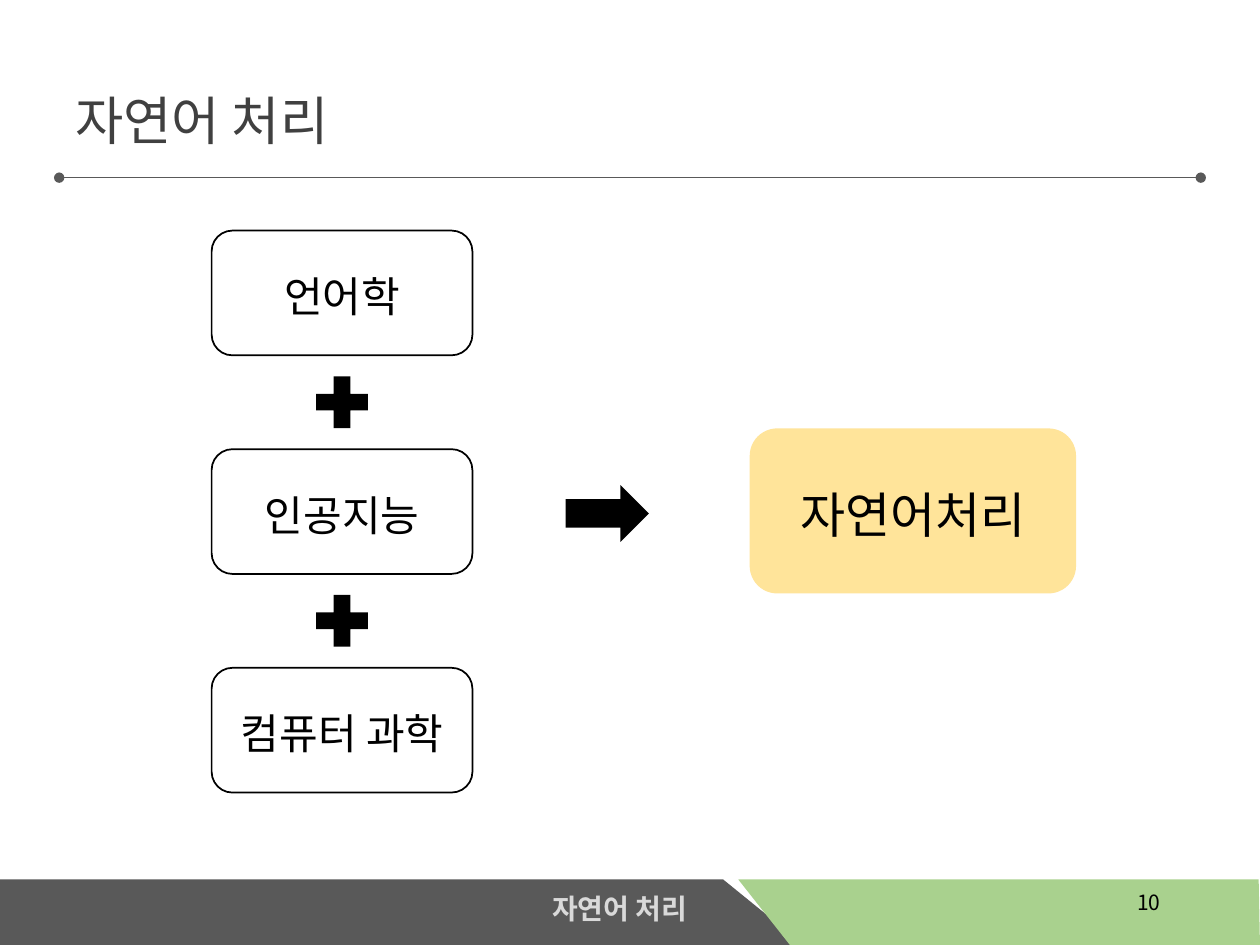
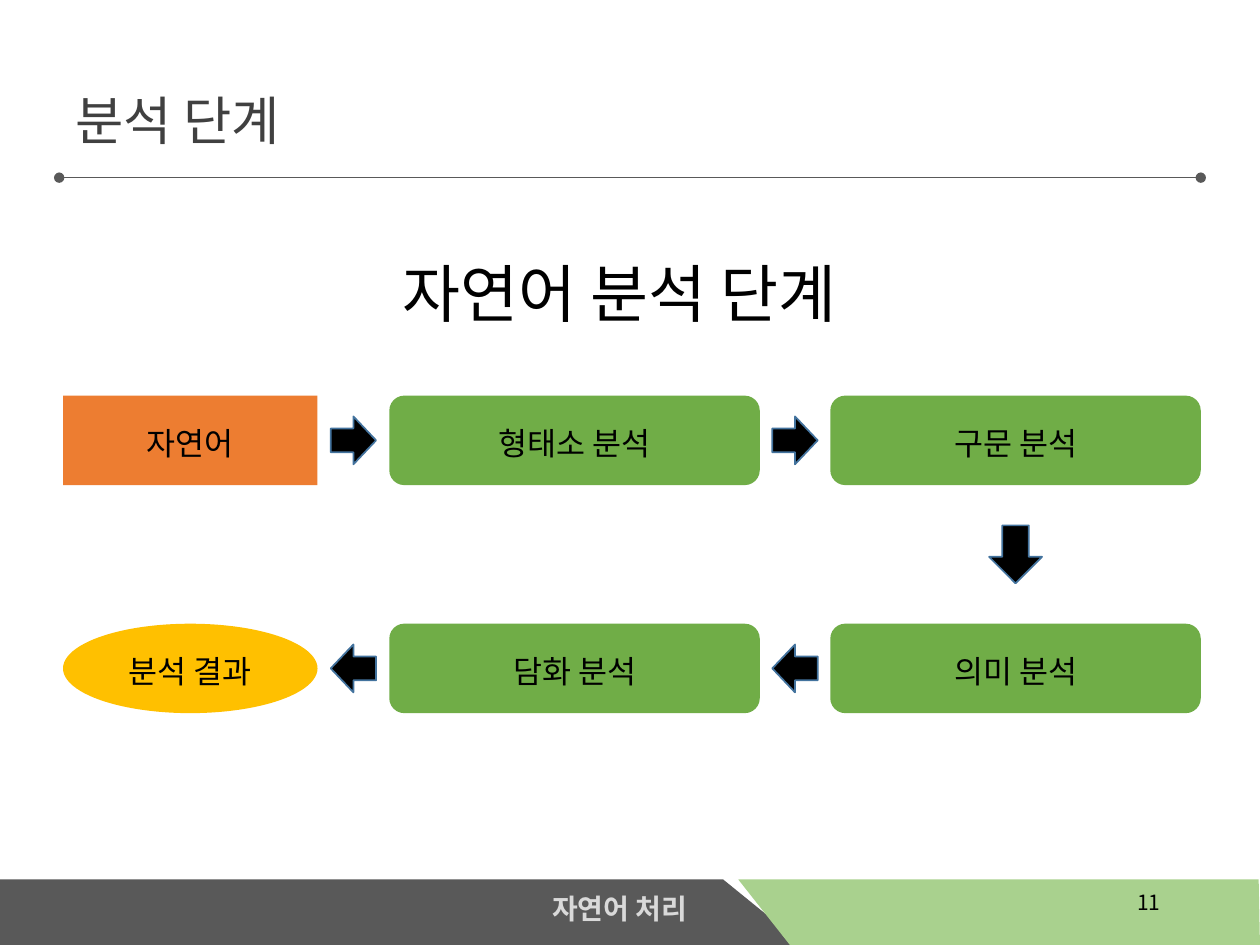
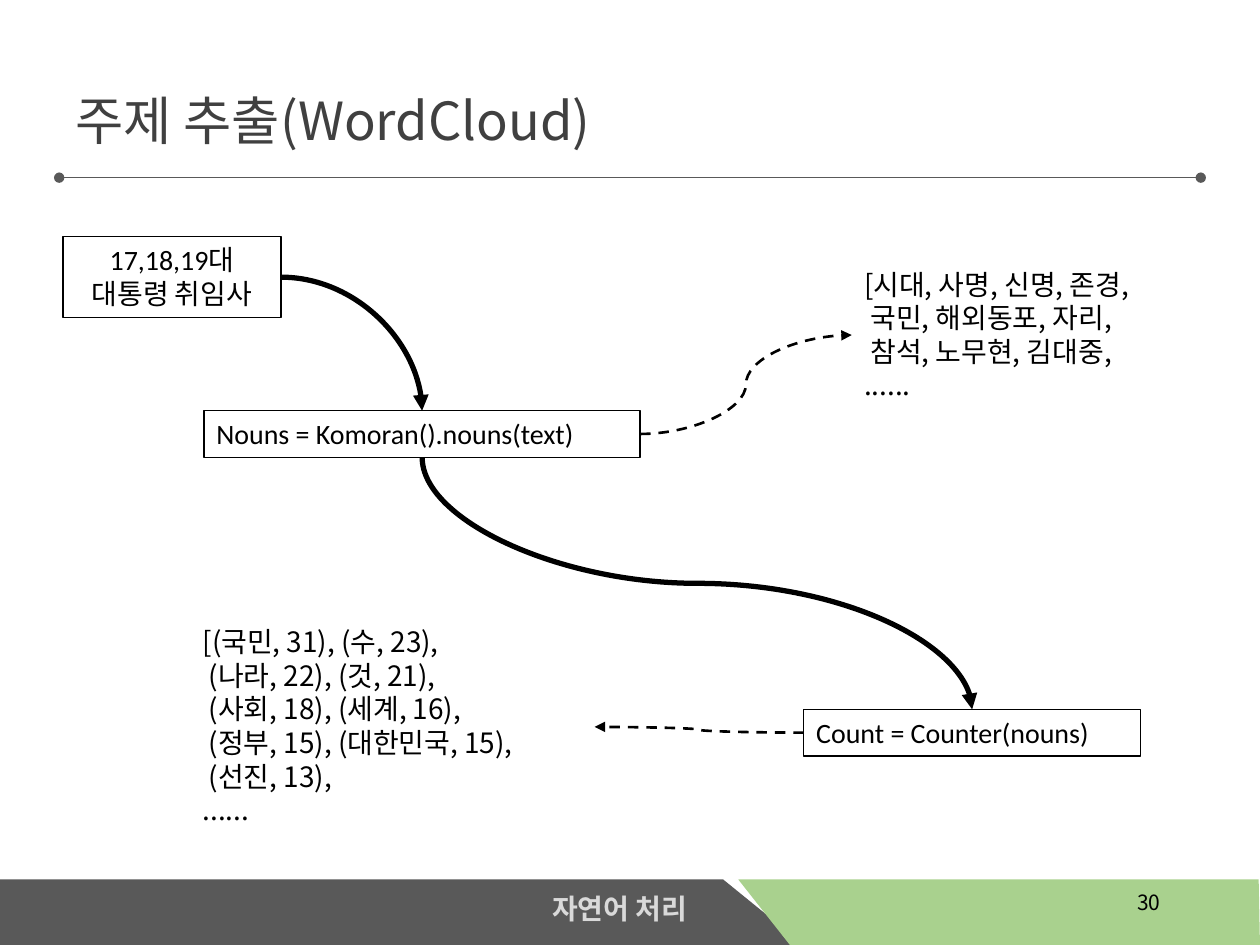
from dataclasses import dataclass
from lxml import etree
from pptx import Presentation
from pptx import util as u
from pptx.dml.color import RGBColor
from pptx.enum import dml, shapes, text
from pptx.oxml.ns import qn

COLUMNS, ROWS = 100, 75
WIDTH, HEIGHT = u.Inches(10), u.Inches(7.5)
KOREAN, LATIN = "Noto Sans CJK KR", "Calibri"
COLORS = {
    "black": "000000", "white": "FFFFFF", "title": "404040", "band": "595959",
    "footer": "D9D9D9", "accent": "A9D18E", "result": "FFE49A", "input": "ED7D31",
    "stage": "70AD47", "output": "FFC000", "arrow_edge": "43739E",
}
KIND = shapes.MSO_SHAPE
LEFT, CENTER, RIGHT = text.PP_ALIGN.LEFT, text.PP_ALIGN.CENTER, text.PP_ALIGN.RIGHT
TOP_SIDE, LEFT_SIDE, BOTTOM_SIDE, RIGHT_SIDE = range(4)


@dataclass(frozen=True)
class Area:
    column: float
    row: float
    columns: float
    rows: float

    def emu(self) -> tuple:
        return (across(self.column), down(self.row), across(self.columns), down(self.rows))

    def middle(self) -> tuple:
        return self.column + self.columns / 2, self.row + self.rows / 2


@dataclass(frozen=True)
class Style:
    size: float
    color: str = "black"
    align: int = LEFT
    middle: bool = False
    bold: bool = False
    font: str = KOREAN


@dataclass(frozen=True)
class Block:
    kind: int
    area: Area
    fill: str
    words: str = ""
    size: float = 18
    edge: str = ""


TITLE = Style(30, "title", middle=True)
FOOTER = Style(16, "footer", RIGHT, bold=True)
PAGE_NUMBER = Style(12, align=RIGHT, middle=True)
HEADING = Style(36, align=CENTER)
LISTING = Style(16)
CODE = Style(16, font=LATIN)
SOURCE = Style(16, align=CENTER, font=LATIN)


def across(columns: float) -> int:
    return round(WIDTH * columns / COLUMNS)


def down(rows: float) -> int:
    return round(HEIGHT * rows / ROWS)


def rgb(name: str) -> RGBColor:
    return RGBColor.from_string(COLORS[name])


def centered(column: float, row: float, columns: float, rows: float) -> Area:
    return Area(column - columns / 2, row - rows / 2, columns, rows)


def write(shape, words: str, style: Style) -> None:
    frame = shape.text_frame
    frame.word_wrap = True
    frame.vertical_anchor = text.MSO_ANCHOR.MIDDLE if style.middle else text.MSO_ANCHOR.TOP
    frame.text = words
    for paragraph in frame.paragraphs:
        paragraph.alignment = style.align
        paragraph.line_spacing = u.Pt(style.size * (1.33 if style.middle else 1.2))
        for run in paragraph.runs:
            run.font.size = u.Pt(style.size)
            run.font.bold = style.bold
            run.font.name = style.font
            run.font.color.rgb = rgb(style.color)
            etree.SubElement(run.font._element, qn("a:ea"), typeface=KOREAN)


def add_words(slide, words: str, area: Area, style: Style, framed: bool = False):
    shape = slide.shapes.add_textbox(*area.emu())
    write(shape, words, style)
    if framed:
        shape.line.color.rgb = rgb("black")
        shape.line.width = u.Pt(0.75)
    return shape


def paint(shape, fill: str, edge: str = "") -> None:
    shape.shadow.inherit = False
    shape.fill.solid()
    shape.fill.fore_color.rgb = rgb(fill)
    if edge:
        shape.line.color.rgb = rgb(edge)
        shape.line.width = u.Pt(1)
    else:
        shape.line.fill.background()


def add_block(slide, block: Block) -> None:
    shape = slide.shapes.add_shape(block.kind, *block.area.emu())
    paint(shape, block.fill, block.edge)
    if block.words:
        write(shape, block.words, Style(block.size, align=CENTER, middle=True))


def add_band(slide, corners: list, fill: str) -> None:
    points = [(across(column), down(row)) for column, row in corners]
    builder = slide.shapes.build_freeform(*points[0], scale=1.0)
    builder.add_line_segments(points[1:], close=True)
    paint(builder.convert_to_shape(), fill)


def style_line(connector, color: str, width: float, tail: str, head: str = "",
               dashed: bool = False) -> None:
    connector.line.color.rgb = rgb(color)
    connector.line.width = u.Pt(width)
    if dashed:
        connector.line.dash_style = dml.MSO_LINE.DASH
    outline = connector.line._get_or_add_ln()
    if head:
        etree.SubElement(outline, qn("a:headEnd"), type=head)
    etree.SubElement(outline, qn("a:tailEnd"), type=tail)
    etree.SubElement(connector._element.spPr, qn("a:effectLst"))


def join(slide, start, start_side: int, end, end_side: int, width: float, dashed: bool = False):
    connector = slide.shapes.add_connector(shapes.MSO_CONNECTOR.CURVE, 0, 0, 0, 0)
    connector.begin_connect(start, start_side)
    connector.end_connect(end, end_side)
    style_line(connector, "black", width, "triangle", dashed=dashed)
    return connector


def bend_once(connector) -> None:
    connector._element.spPr.find(qn("a:prstGeom")).set("prst", "curvedConnector2")


def run_downward(connector) -> None:
    width, height = connector.width, connector.height
    middle_x, middle_y = connector.left + width // 2, connector.top + height // 2
    connector.left, connector.top = middle_x - height // 2, middle_y - width // 2
    connector.width, connector.height = height, width
    transform = connector._element.spPr.find(qn("a:xfrm"))
    transform.set("rot", str(270 * 60000))
    transform.set("flipH", "1")


def add_page(presentation, title: str, number: int):
    slide = presentation.slides.add_slide(presentation.slide_layouts[6])
    add_band(slide, [(-0.8, 69.8), (57.4, 69.8), (63.8, 75), (-0.7, 75)], "band")
    add_band(slide, [(100, 75), (62.7, 75), (58.6, 69.8), (99.9, 69.8)], "accent")
    add_words(slide, title, Area(5, 3, 90, 12.5), TITLE)
    rule = slide.shapes.add_connector(
        shapes.MSO_CONNECTOR.STRAIGHT, across(4.7), down(14.1), across(95.3), down(14.1))
    style_line(rule, "band", 0.5, "oval", "oval")
    add_words(slide, "자연어 처리", Area(1.6, 70.3, 53.9, 3.7), FOOTER)
    add_words(slide, str(number), Area(70.6, 69.5, 22.5, 4), PAGE_NUMBER)
    return slide


def fields_page(presentation) -> None:
    slide = add_page(presentation, "자연어 처리", 10)
    fields = ["언어학", "인공지능", "컴퓨터 과학"]
    pitch = 17.35
    for index, field in enumerate(fields):
        area = Area(16.8, 18.3 + index * pitch, 20.7, 9.9)
        add_block(slide, Block(KIND.ROUNDED_RECTANGLE, area, "white", field, 24, "black"))
        if index:
            column, row = area.middle()
            plus = centered(column, row - pitch / 2, 5.6, 5.6)
            add_block(slide, Block(KIND.MATH_PLUS, plus, "black"))
    add_block(slide, Block(KIND.RIGHT_ARROW, Area(44.9, 38.5, 6.6, 4.5), "black"))
    add_block(slide, Block(KIND.ROUNDED_RECTANGLE, Area(59.5, 34, 25.9, 13.1),
                           "result", "자연어처리", 28))


def stages_page(presentation) -> None:
    slide = add_page(presentation, "분석 단계", 11)
    add_words(slide, "자연어 분석 단계", Area(26.3, 19.7, 45.8, 7.1), HEADING)
    lanes = [(5, 20.2), (30.9, 29.4), (65.9, 29.4)]
    stage = (KIND.ROUNDED_RECTANGLE, "stage")
    flows = [
        (31.4, KIND.RIGHT_ARROW, [("자연어", KIND.RECTANGLE, "input"),
                                  ("형태소 분석", *stage), ("구문 분석", *stage)]),
        (49.5, KIND.LEFT_ARROW, [("분석 결과", KIND.OVAL, "output"),
                                 ("담화 분석", *stage), ("의미 분석", *stage)]),
    ]
    height = 7.1
    for row, arrow, steps in flows:
        for (column, columns), (words, kind, fill) in zip(lanes, steps):
            add_block(slide, Block(kind, Area(column, row, columns, height), fill, words))
        for (column, columns), (following, _) in zip(lanes, lanes[1:]):
            gap_middle = (column + columns + following) / 2
            area = centered(gap_middle, row + height / 2, 3.6, 3.8)
            add_block(slide, Block(arrow, area, "black", edge="arrow_edge"))
    column, columns = lanes[-1]
    turn = centered(column + columns / 2, (flows[0][0] + flows[1][0] + height) / 2, 4.2, 4.6)
    add_block(slide, Block(KIND.DOWN_ARROW, turn, "black", edge="arrow_edge"))


def topics_page(presentation) -> None:
    slide = add_page(presentation, "주제 추출(WordCloud)", 30)
    speeches = add_words(slide, "17,18,19대\n대통령 취임사",
                         Area(5, 18.8, 17.3, 6.4), SOURCE, framed=True)
    nouns = add_words(slide, "Nouns = Komoran().nouns(text)",
                      Area(16.2, 32.6, 34.6, 3.7), CODE, framed=True)
    count = add_words(slide, "Count = Counter(nouns)",
                      Area(63.8, 56.3, 26.7, 3.7), CODE, framed=True)
    noun_list = add_words(slide, "\n".join([
        "[시대, 사명, 신명, 존경,",
        " 국민, 해외동포, 자리,",
        " 참석, 노무현, 김대중,",
        "......",
    ]), Area(67.6, 20.7, 26.9, 11.8), LISTING)
    count_list = add_words(slide, "\n".join([
        "[(국민, 31), (수, 23),",
        " (나라, 22), (것, 21),",
        " (사회, 18), (세계, 16),",
        " (정부, 15), (대한민국, 15),",
        " (선진, 13),",
        "......",
    ]), Area(15.1, 49.1, 32.1, 17.2), LISTING)
    bend_once(join(slide, speeches, RIGHT_SIDE, nouns, TOP_SIDE, 3))
    run_downward(join(slide, nouns, BOTTOM_SIDE, count, TOP_SIDE, 3))
    join(slide, nouns, RIGHT_SIDE, noun_list, LEFT_SIDE, 1.5, dashed=True)
    join(slide, count, LEFT_SIDE, count_list, RIGHT_SIDE, 1.5, dashed=True)


def main() -> None:
    presentation = Presentation()
    presentation.slide_width, presentation.slide_height = WIDTH, HEIGHT
    fields_page(presentation)
    stages_page(presentation)
    topics_page(presentation)
    presentation.save("out.pptx")


if __name__ == "__main__":
    main()
